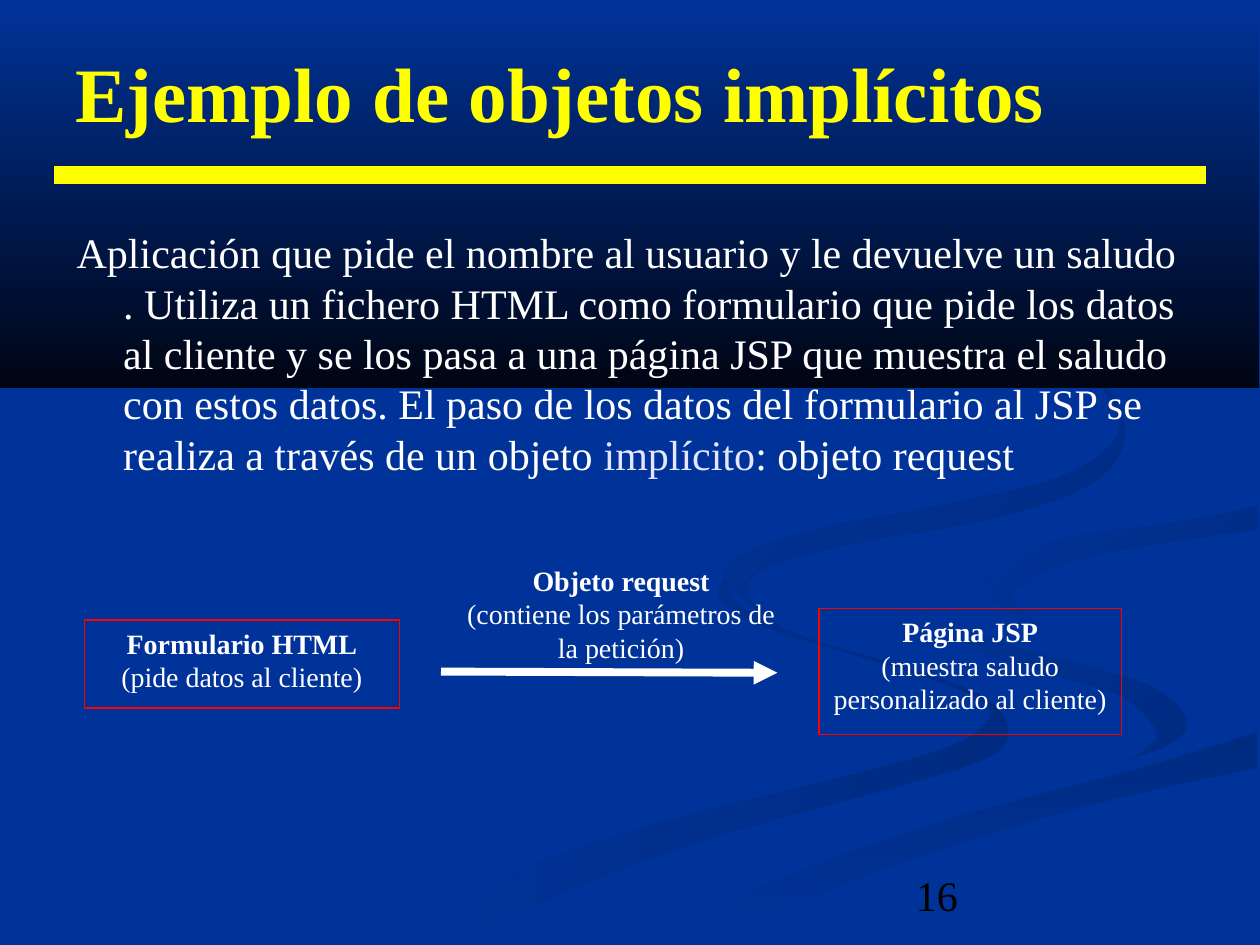
from dataclasses import dataclass
from typing import NamedTuple

from lxml.etree import SubElement
from pptx import Presentation
from pptx.dml.color import RGBColor as Rgb
from pptx.enum.shapes import MSO_CONNECTOR as Connector, MSO_SHAPE as Preset
from pptx.enum.text import MSO_ANCHOR as Anchor, PP_ALIGN as Align
from pptx.oxml.ns import qn
from pptx.shapes.autoshape import Shape
from pptx.slide import Slide
from pptx.util import Inches, Pt


class Point(NamedTuple):
    x: float
    y: float


class Area(NamedTuple):
    left: float
    top: float
    width: float
    height: float


Edge = list[Point]


@dataclass(frozen=True)
class Theme:
    font: str = "Times New Roman"
    blue: str = "003399"
    shade: str = "002B81"
    night: str = "000514"
    yellow: str = "FFFF00"
    white: str = "FFFFFF"
    lilac: str = "E5E5FF"
    red: str = "FF0000"
    black: str = "000000"
    title: int = 44
    body: int = 24
    label: int = 16


@dataclass(frozen=True)
class Ribbon:
    near: Edge
    far: Edge
    start: str
    angle: int = 0


@dataclass(frozen=True)
class Label:
    area: Area
    heading: str
    detail: str
    framed: bool = True


@dataclass(frozen=True)
class Rule:
    start: Point
    end: Point
    color: str
    width: float
    arrow: bool = False


@dataclass(frozen=True)
class Span:
    text: str
    color: str
    bold: bool = False


THEME = Theme()
CURVE_STEPS = 5


def smooth(*knots: tuple[float, float]) -> Edge:
    """Return a Catmull-Rom curve that passes through the knots."""
    padded = [knots[0], *knots, knots[-1]]
    curve = [Point(*knots[0])]
    for before, start, end, after in zip(padded, padded[1:], padded[2:], padded[3:]):
        for step in range(1, CURVE_STEPS + 1):
            t = step / CURVE_STEPS
            curve.append(Point(*(
                b + ((c - a) * t + (2 * a - 5 * b + 4 * c - d) * t ** 2
                     + (3 * b - a - 3 * c + d) * t ** 3) / 2
                for a, b, c, d in zip(before, start, end, after))))
    return curve


def background_ribbons() -> list[Ribbon]:
    """Return the ribbons from back to front, built from shared curved edges."""
    left_outer = smooth((5.75, 4.59), (5.72, 4.76), (6.11, 4.99), (6.96, 5.25), (7.61, 5.47),
                        (7.86, 5.66), (7.59, 5.9), (6.84, 6.13), (5.39, 6.49), (4.17, 6.89),
                        (3, 7.49))
    left_inner = smooth((5.75, 4.59), (5.87, 4.81), (6.42, 5.07), (7.14, 5.28), (7.81, 5.53),
                        (8, 5.81), (7.79, 6.04), (6.76, 6.34), (5.64, 6.65), (4.66, 7),
                        (3.61, 7.49))
    bend_outer = smooth((7.24, 4.64), (7.33, 4.83), (7.92, 5.09), (8.7, 5.3), (9.19, 5.47),
                        (9.42, 5.7), (9.32, 5.89), (8.93, 6.04))
    bend_inner = smooth((7.24, 4.64), (7.39, 4.94), (7.8, 5.17), (8.38, 5.36), (8.91, 5.53),
                        (9.18, 5.81), (9.06, 5.97), (8.93, 6.04))
    foot_upper = smooth((9.98, 5.81), (9.03, 6.1), (7.64, 6.47), (6.29, 6.93), (5.03, 7.49))
    foot_lower = smooth((9.98, 6.09), (8.6, 6.4), (7.22, 6.82), (6.29, 7.19), (5.71, 7.49))
    crest_top = smooth((9.98, 3.87), (9.2, 4.01), (8.29, 4.15), (7.55, 4.32), (7.24, 4.64))
    crest_tail = smooth((8.93, 6.04), (7.79, 6.34), (6.62, 6.68), (5.73, 7.03), (4.77, 7.49))
    crest_side = smooth((7.81, 4.6), (8.04, 4.85), (8.66, 5.09), (9.4, 5.27), (9.98, 5.38))
    hook_top = smooth((9.98, 4.02), (9.33, 4.15), (8.35, 4.3), (7.81, 4.6))
    hook_end = smooth((7.81, 4.6), (7.91, 4.78), (8.25, 4.96))
    hook_inner = smooth((9.98, 4.2), (9.36, 4.29), (8.58, 4.43), (8.08, 4.66), (8.06, 4.8),
                        (8.25, 4.96))
    curl_outer = smooth((7.62, 2.33), (8.21, 2.61), (8.72, 2.99), (8.93, 3.44), (8.66, 3.84),
                        (7.86, 4.12), (6.83, 4.3), (6.14, 4.48), (5.93, 4.7), (6.22, 5))
    curl_inner = smooth((7.62, 2.33), (8.45, 2.79), (8.89, 3.35), (8.52, 3.74), (7.63, 3.98),
                        (6.48, 4.2), (5.89, 4.41), (5.77, 4.62), (6.22, 5))
    return [
        Ribbon(left_outer, left_inner, THEME.shade, 180),
        Ribbon(bend_outer, bend_inner, THEME.shade, 225),
        Ribbon(foot_upper, foot_lower, THEME.shade, 90),
        Ribbon(crest_top + bend_outer + crest_tail, hook_top + crest_side + foot_upper,
               THEME.blue),
        Ribbon(hook_top + hook_end, hook_inner, THEME.shade, 225),
        Ribbon(curl_outer, curl_inner, THEME.shade, 225),
    ]


def fill_gradient(shape: Shape, start: str, end: str, angle: int) -> None:
    """Fill a borderless shape with a gradient turned clockwise by angle."""
    shape.shadow.inherit = False
    shape.line.fill.background()
    shape.fill.gradient()
    shape.fill.gradient_angle = 360 - angle
    for stop, color in zip(shape.fill.gradient_stops, (start, end)):
        stop.color.rgb = Rgb.from_string(color)


def draw_ribbon(slide: Slide, ribbon: Ribbon) -> None:
    """Draw the area between the two edges of a ribbon."""
    first, *rest = [(Inches(point.x), Inches(point.y))
                    for point in ribbon.near + ribbon.far[::-1]]
    builder = slide.shapes.build_freeform(*first)
    builder.add_line_segments(rest, close=True)
    fill_gradient(builder.convert_to_shape(), ribbon.start, THEME.blue, ribbon.angle)


def draw_rule(slide: Slide, rule: Rule) -> None:
    """Draw a straight line, with an arrowhead at its end if asked."""
    connector = slide.shapes.add_connector(
        Connector.STRAIGHT, *(Inches(value) for value in (*rule.start, *rule.end)))
    connector.line.color.rgb = Rgb.from_string(rule.color)
    connector.line.width = Pt(rule.width)
    if rule.arrow:
        SubElement(connector.line._get_or_add_ln(), qn("a:tailEnd"), type="triangle")
    SubElement(connector._element.spPr, qn("a:effectLst"))


def add_rectangle(slide: Slide, area: Area) -> Shape:
    """Add a rectangle without a shadow."""
    shape = slide.shapes.add_shape(Preset.RECTANGLE, *map(Inches, area))
    shape.shadow.inherit = False
    return shape


def write(box: Shape, paragraphs: list[list[Span]], size: int,
          align: Align = Align.LEFT, anchor: Anchor = Anchor.TOP) -> None:
    """Fill a box with paragraphs of coloured spans."""
    frame = box.text_frame
    frame.word_wrap = True
    frame.vertical_anchor = anchor
    for index, spans in enumerate(paragraphs):
        para = frame.add_paragraph() if index else frame.paragraphs[0]
        para.alignment = align
        para.font.name, para.font.size, para.font.bold = THEME.font, Pt(size), spans[0].bold
        for span in spans:
            run = para.add_run()
            run.text = span.text
            run.font.color.rgb = Rgb.from_string(span.color)


def add_text(slide: Slide, area: Area, spans: list[Span], size: int,
             anchor: Anchor = Anchor.TOP) -> Shape:
    """Add a text box that holds one paragraph."""
    box = slide.shapes.add_textbox(*map(Inches, area))
    write(box, [spans], size, anchor=anchor)
    return box


def draw_label(slide: Slide, label: Label) -> None:
    """Draw a bold heading over its detail, in a red frame if asked."""
    if label.framed:
        box = add_rectangle(slide, label.area)
        box.fill.background()
        box.line.color.rgb = Rgb.from_string(THEME.red)
        box.line.width = Pt(0.75)
    else:
        box = slide.shapes.add_textbox(*map(Inches, label.area))
    write(box, [[Span(label.heading, THEME.white, True)], [Span(label.detail, THEME.white)]],
          THEME.label, Align.CENTER)


def draw_background(slide: Slide) -> None:
    """Draw the blue ground, the ribbons, the dark band and the title rule."""
    slide.background.fill.solid()
    slide.background.fill.fore_color.rgb = Rgb.from_string(THEME.blue)
    for ribbon in background_ribbons():
        draw_ribbon(slide, ribbon)
    band = add_rectangle(slide, Area(0, 0, 9.99, 3.08))
    fill_gradient(band, THEME.blue, THEME.night, 90)
    draw_rule(slide, Rule(Point(0.43, 1.39), Point(9.57, 1.39), THEME.yellow, 10))


def draw_body(slide: Slide) -> None:
    """Write the description with a hanging indent."""
    text = ("Aplicación que pide el nombre al usuario y le devuelve un saludo . Utiliza un "
            "fichero HTML como formulario que pide los datos al cliente y se los pasa a una "
            "página JSP que muestra el saludo con estos datos. El paso de los datos del "
            "formulario al JSP se realiza a través de un objeto ")
    box = add_text(slide, Area(0.5, 1.75, 9, 3.55),
                   [Span(text, THEME.white), Span("implícito", THEME.lilac),
                    Span(": objeto request", THEME.white)], THEME.body)
    para = box.text_frame.paragraphs[0]
    para.space_before = Pt(6)
    properties = para._p.get_or_add_pPr()
    properties.set("marL", str(Inches(0.38)))
    properties.set("indent", str(Inches(-0.37)))


def draw_request_flow(slide: Slide) -> None:
    """Draw the form, the page and the request that passes between them."""
    for label in (
        Label(Area(0.67, 4.92, 2.5, 0.7), "Formulario HTML", "(pide datos al cliente)"),
        Label(Area(6.5, 4.83, 2.4, 1), "Página JSP",
              "(muestra saludo personalizado al cliente)"),
        Label(Area(3.58, 4.42, 2.7, 0.8), "Objeto request",
              "(contiene los parámetros de la petición)", framed=False),
    ):
        draw_label(slide, label)
    draw_rule(slide, Rule(Point(3.5, 5.33), Point(6.17, 5.34), THEME.white, 4.5, arrow=True))


def main() -> None:
    """Build and save the slide."""
    deck = Presentation()
    deck.slide_width, deck.slide_height = Inches(10), Inches(7.5)
    slide = deck.slides.add_slide(deck.slide_layouts[6])
    draw_background(slide)
    add_text(slide, Area(0.5, 0.3, 9, 0.85),
             [Span("Ejemplo de objetos implícitos", THEME.yellow, True)],
             THEME.title, Anchor.MIDDLE)
    draw_body(slide)
    draw_request_flow(slide)
    add_text(slide, Area(7.17, 6.85, 2.33, 0.5), [Span("16", THEME.black)],
             THEME.body, Anchor.BOTTOM)
    deck.save("out.pptx")


if __name__ == "__main__":
    main()
